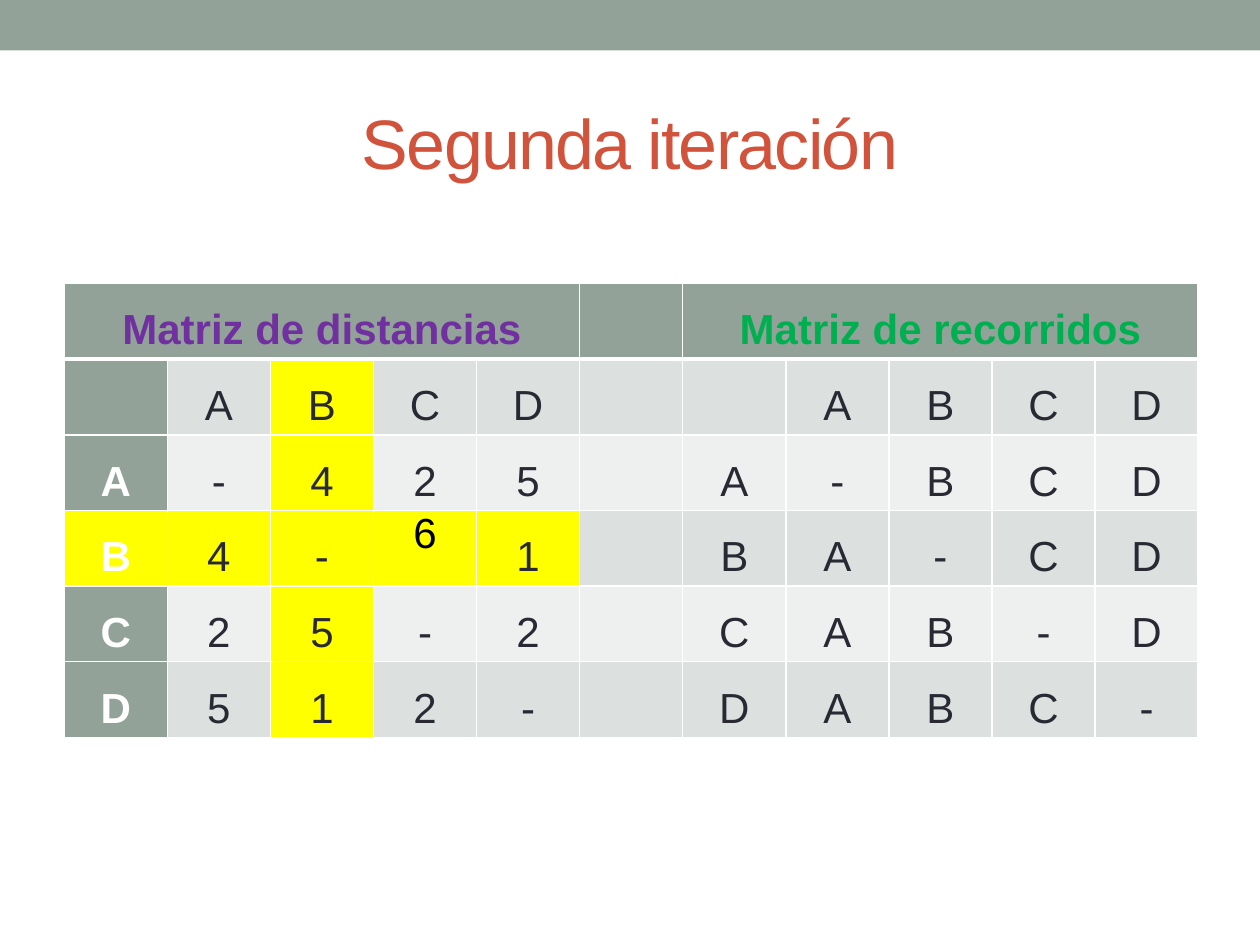
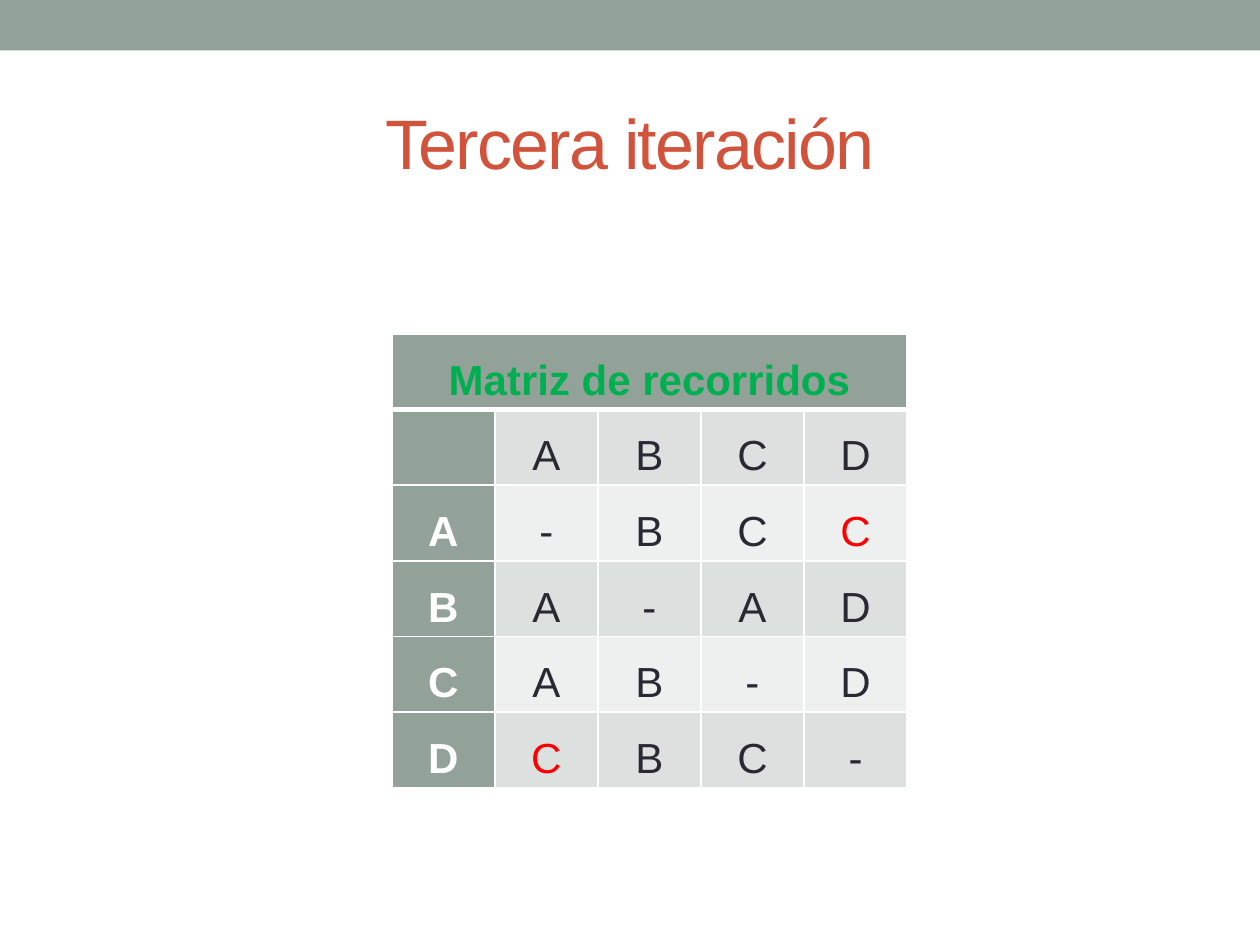
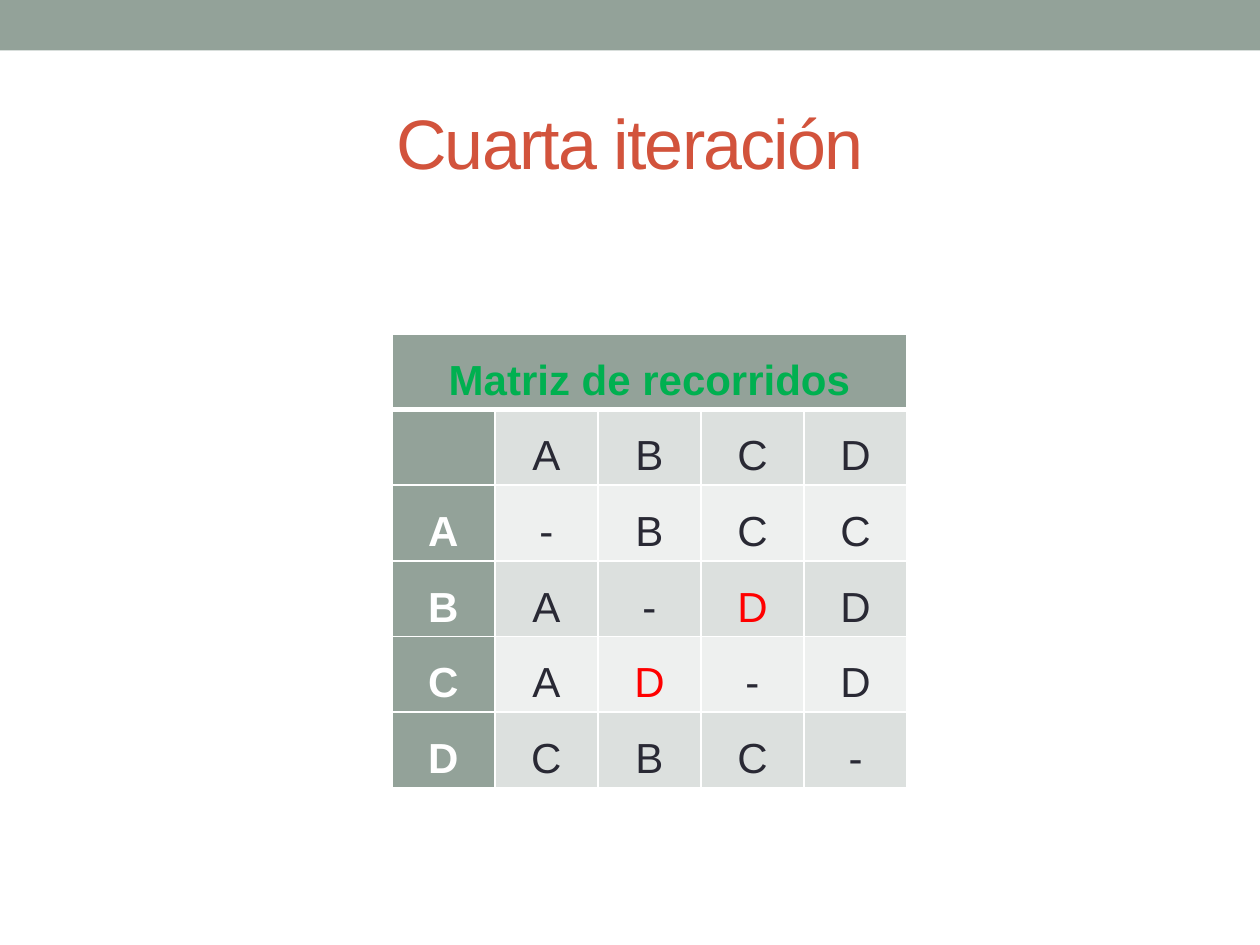
from lxml.etree import SubElement
from pptx import Presentation
from pptx.dml.color import RGBColor
from pptx.enum.shapes import MSO_SHAPE
from pptx.enum.text import MSO_ANCHOR, PP_ALIGN
from pptx.oxml.ns import qn
from pptx.util import Inches, Pt

FONT = "Arial"
SAGE, RUST, INK, WHITE = "93A299", "D2533C", "292934", "FFFFFF"
DARK_BAND, LIGHT_BAND = "DCE0DE", "EEF0EF"
YELLOW, RED, PURPLE, GREEN, BLACK = "FFFF00", "FF0000", "7030A0", "00B050", "000000"

DISTANCES = ("Matriz de distancias", PURPLE)
ROUTES = ("Matriz de recorridos", GREEN)

# Each character of a row is one cell; a space is an empty cell.
# Headings are keyed by their first column, and each spans five columns.
pivot_cells = {(row, 2) for row in range(1, 6)} | {(3, col) for col in range(5)}
iterations = [
    dict(title="Segunda iteración", left=0.51, top=2.25, width=9, rows_height=3.46,
         frame_height=3.46, headings={0: DISTANCES, 6: ROUTES},
         rows=[" ABCD  ABCD", "A-425 A-BCD", "B4-61 BA-CD", "C25-2 CAB-D", "D512- DABC-"],
         highlighted=pivot_cells, recoloured={(3, 3): BLACK}, single_spaced={(3, 3)}),
    dict(title="Tercera iteración", left=3.11, top=2.65, width=4.09, rows_height=2.82,
         frame_height=3.53, headings={0: ROUTES},
         rows=[" ABCD", "A-BCC", "BA-AD", "CAB-D", "DCBC-"],
         highlighted=set(), recoloured={(2, 4): RED, (5, 1): RED}, single_spaced=set()),
    dict(title="Cuarta iteración", left=3.11, top=2.65, width=4.09, rows_height=2.82,
         frame_height=3.53, headings={0: ROUTES},
         rows=[" ABCD", "A-BCC", "BA-DD", "CAD-D", "DCBC-"],
         highlighted=set(), recoloured={(3, 3): RED, (4, 2): RED}, single_spaced=set()),
]


def rgb(value):
    return RGBColor.from_string(value)


def style_cell(cell, row, fill):
    """Set margins, white borders and fill; the line under the heading row is thicker."""
    cell.margin_left = cell.margin_right = Inches(0.07)
    cell.margin_top = cell.margin_bottom = 0
    properties = cell._tc.get_or_add_tcPr()
    thick_side = {0: "lnB", 1: "lnT"}.get(row)
    for side in ("lnL", "lnR", "lnT", "lnB"):
        border = SubElement(properties, qn(f"a:{side}"), w=str(Pt(3 if side == thick_side else 1)))
        SubElement(SubElement(border, qn("a:solidFill")), qn("a:srgbClr"), val=WHITE)
    cell.fill.solid()
    cell.fill.fore_color.rgb = rgb(fill)


prs = Presentation()
prs.slide_width, prs.slide_height = Inches(10), Inches(7.5)

for iteration in iterations:
    slide = prs.slides.add_slide(prs.slide_layouts[6])

    band = slide.shapes.add_shape(MSO_SHAPE.RECTANGLE, 0, 0, prs.slide_width, Inches(0.4))
    band.shadow.inherit = False
    band.fill.solid()
    band.fill.fore_color.rgb = rgb(SAGE)
    band.line.fill.background()

    title = slide.shapes.add_textbox(Inches(0.5), Inches(0.58), Inches(9), Inches(1.08))
    title.text_frame.word_wrap = True
    title.text_frame.vertical_anchor = MSO_ANCHOR.MIDDLE
    title.text_frame.text = iteration["title"]
    heading = title.text_frame.paragraphs[0]
    heading.alignment = PP_ALIGN.CENTER
    title_run = heading.runs[0]
    title_run.font.name, title_run.font.size = FONT, Pt(40)
    title_run.font.color.rgb = rgb(RUST)
    title_run._r.get_or_add_rPr().set("spc", "-100")

    rows, headings = iteration["rows"], iteration["headings"]
    column_count = len(rows[0])
    frame = slide.shapes.add_table(
        len(rows) + 1, column_count, Inches(iteration["left"]), Inches(iteration["top"]),
        Inches(iteration["width"]), Inches(iteration["rows_height"]))
    frame.height = Inches(iteration["frame_height"])
    matrix = frame.table
    matrix.first_row = matrix.horz_banding = False

    for row in range(len(rows) + 1):
        for col in range(column_count):
            place = (row, col)
            is_header = row == 0 or col == 0
            if row == 0:
                text, color = headings.get(col, ("", WHITE))
            else:
                text = rows[row - 1][col].strip()
                color = iteration["recoloured"].get(place, WHITE if is_header else INK)
            if place in iteration["highlighted"]:
                fill = YELLOW
            elif is_header:
                fill = SAGE
            else:
                fill = DARK_BAND if row % 2 else LIGHT_BAND

            cell = matrix.cell(row, col)
            style_cell(cell, row, fill)
            if not text:
                continue
            cell.text_frame.text = text
            entry = cell.text_frame.paragraphs[0]
            entry.alignment = PP_ALIGN.CENTER
            entry.line_spacing = 1.0 if place in iteration["single_spaced"] else 1.5
            font = entry.runs[0].font
            font.name, font.size, font.bold = FONT, Pt(24), is_header
            font.color.rgb = rgb(color)

    for col in headings:
        matrix.cell(0, col).merge(matrix.cell(0, col + 4))

prs.save("out.pptx")
